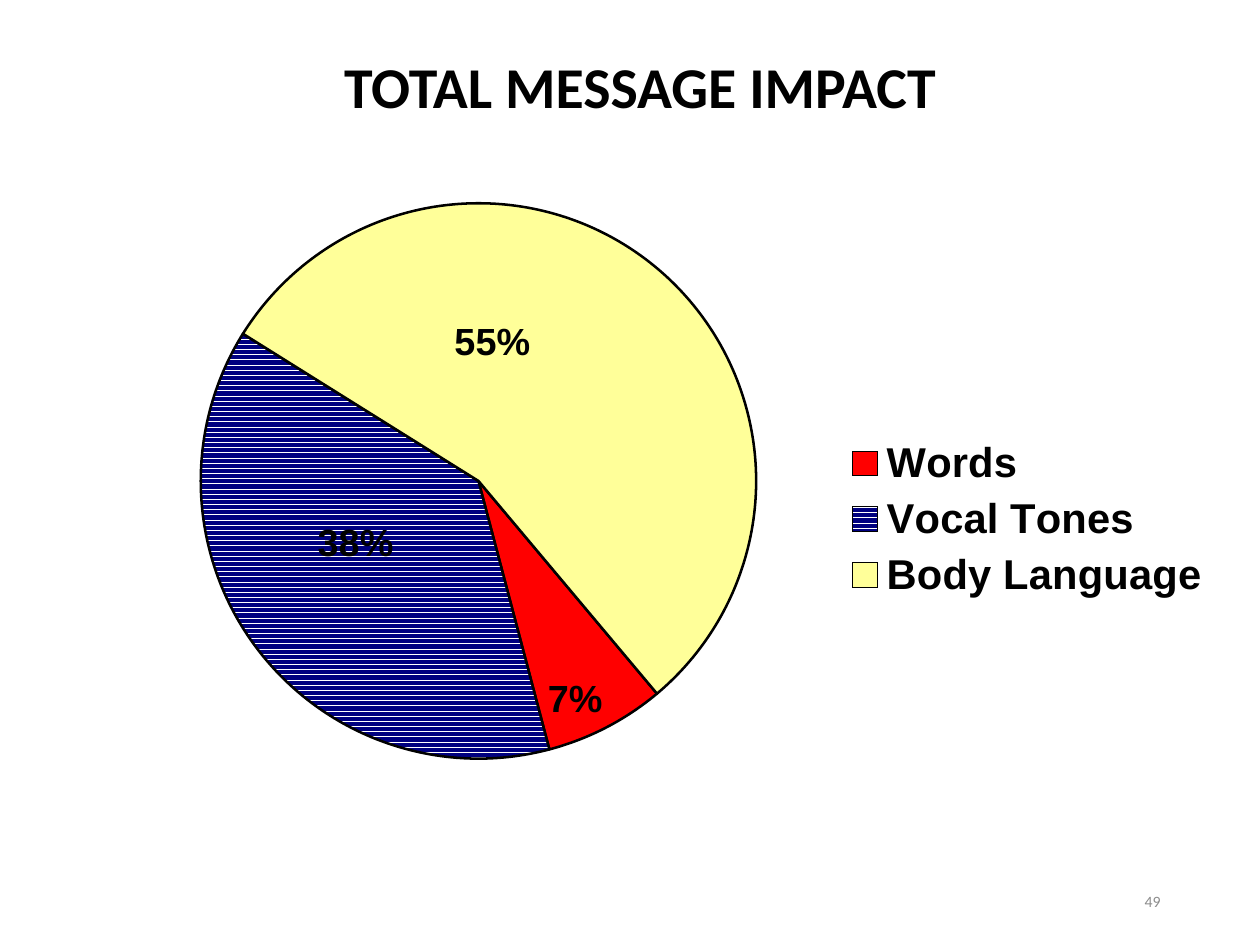
from pptx import Presentation, util as u
from pptx.chart.data import CategoryChartData
from pptx.dml.color import RGBColor
from pptx.enum import chart as kinds, dml, text
from pptx.oxml import parse_xml
from pptx.oxml.ns import nsdecls, qn

BLACK = RGBColor(0, 0, 0)
WHITE = RGBColor(255, 255, 255)
GREY = RGBColor(0x8C, 0x8C, 0x8C)
RED = RGBColor(255, 0, 0)
NAVY = RGBColor(0, 0, 0x80)
YELLOW = RGBColor(255, 255, 0x99)


def set_font(font, name, size, color, bold):
    font.name, font.size, font.bold = name, u.Pt(size), bold
    font.color.rgb = color


def manual_layout(**values):
    items = "".join(f'<c:{tag} val="{value}"/>' for tag, value in values.items())
    return parse_xml(f'<c:layout {nsdecls("c")}><c:manualLayout>{items}</c:manualLayout></c:layout>')


deck = Presentation()
deck.slide_width, deck.slide_height = u.Inches(10), u.Inches(7.5)
page = deck.slides.add_slide(deck.slide_layouts[5])

title = page.shapes.title
title.left, title.top, title.width, title.height = map(u.Inches, (0.33, 0.25, 9.5, 0.92))
title.text_frame.text = "TOTAL MESSAGE IMPACT"
title.text_frame.vertical_anchor = text.MSO_ANCHOR.MIDDLE
para = title.text_frame.paragraphs[0]
para.alignment, para.line_spacing = text.PP_ALIGN.CENTER, 0.9
set_font(para.font, "Calibri", 33, BLACK, True)

data = CategoryChartData(number_format="0%")
data.categories = ["Words", "Vocal Tones", "Body Language"]
data.add_series("Series 1", (0.07, 0.38, 0.55))
chart = page.shapes.add_chart(
    kinds.XL_CHART_TYPE.PIE, *map(u.Inches, (1, 1.42, 8.73, 5.4)), data
).chart
chart.has_title = False
set_font(chart.font, "Arial", 21.6, BLACK, True)
chart.has_legend = True
chart.legend.position = kinds.XL_LEGEND_POSITION.RIGHT
chart.legend.include_in_layout = False
set_font(chart.legend.font, "Arial", 23.8, BLACK, True)

plot = chart.plots[0]
plot.vary_by_categories = True
pie = chart.element.find(".//" + qn("c:pieChart"))
for angle in pie.findall(qn("c:firstSliceAng")):
    pie.remove(angle)
pie.append(parse_xml(f'<c:firstSliceAng {nsdecls("c")} val="140"/>'))
plot_area = pie.getparent()
for layout in plot_area.findall(qn("c:layout")):
    plot_area.remove(layout)
plot_area.insert(0, manual_layout(
    layoutTarget="inner", xMode="edge", yMode="edge", x=0.068, y=0.031, w=0.505, h=0.826))

series = plot.series[0]
labels = series.data_labels
labels.show_value = True
labels.show_percentage = False
labels.number_format, labels.number_format_is_linked = "0%", False
labels.position = kinds.XL_LABEL_POSITION.INSIDE_END
set_font(labels.font, "Arial", 21.6, BLACK, True)

for index, color in enumerate((RED, NAVY, YELLOW)):
    point = series.points[index]
    fill = point.format.fill
    if color == NAVY:
        fill.patterned()
        fill.pattern = dml.MSO_PATTERN.DARK_HORIZONTAL
        fill.fore_color.rgb, fill.back_color.rgb = NAVY, WHITE
    else:
        fill.solid()
        fill.fore_color.rgb = color
    point.format.line.color.rgb = BLACK
    point.format.line.width = u.Pt(1.44)

for index, shift in {1: (-0.01, -0.03), 2: (-0.07, -0.05)}.items():
    label = series.points[index].data_label
    set_font(label.font, "Arial", 21.6, BLACK, True)
    label.position = kinds.XL_LABEL_POSITION.CENTER
for entry, shift in zip(chart.element.iter(qn("c:dLbl")), ((-0.01, -0.03), (-0.07, -0.05))):
    entry.insert(1, manual_layout(x=shift[0], y=shift[1]))

box = page.shapes.add_textbox(*map(u.Inches, (7.06, 6.95, 2.25, 0.4)))
box.text_frame.word_wrap = True
box.text_frame.vertical_anchor = text.MSO_ANCHOR.MIDDLE
box.text_frame.text = "49"
para = box.text_frame.paragraphs[0]
para.alignment = text.PP_ALIGN.RIGHT
set_font(para.font, "Calibri", 9, GREY, False)

deck.save("out.pptx")
